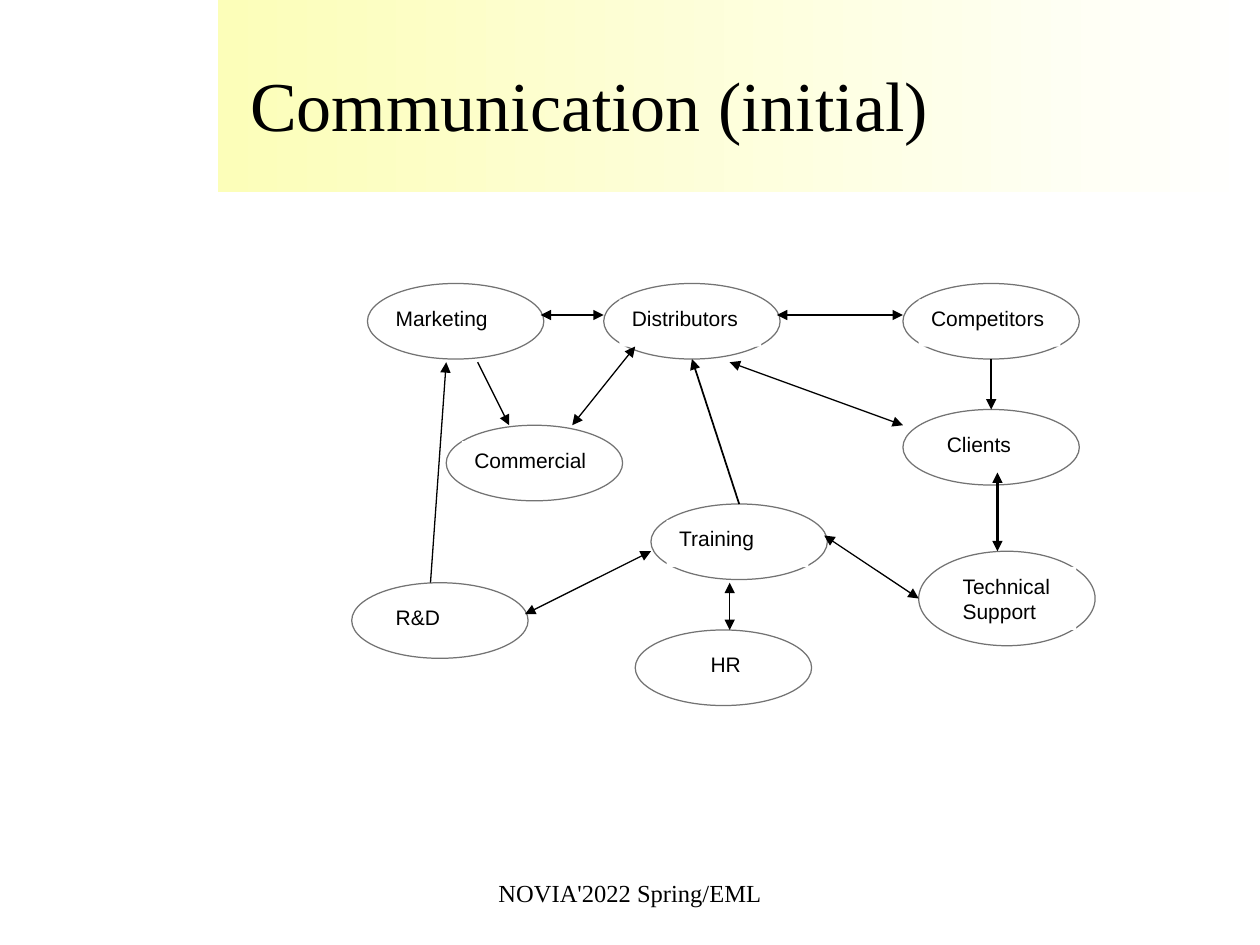
"""Build the initial communication diagram slide."""
from lxml import etree
from pptx import Presentation
from pptx import util as u
from pptx.dml import color
from pptx.enum import shapes, text
from pptx.oxml import ns


def rgb(value):
    return color.RGBColor.from_string(value)


def write(sp, words, font, size, anchor="TOP", align="LEFT", wrap=True, spacing=None):
    tf = sp.text_frame
    p = tf.paragraphs[0]
    p.text = words
    frame = {"word_wrap": wrap, "vertical_anchor": text.MSO_ANCHOR[anchor]}
    para = {"alignment": text.PP_ALIGN[align], "line_spacing": spacing}
    for target, values in ((tf, frame), (p, para)):
        for key, value in values.items():
            setattr(target, key, value)
    for key, value in {"name": font, "size": u.Pt(size)}.items():
        setattr(p.font, key, value)
    p.font.color.rgb = rgb("000000")


prs = Presentation()
prs.slide_width, prs.slide_height = u.Pt(720), u.Pt(540)
s = prs.slides.add_slide(prs.slide_layouts[6])

band = s.shapes.add_shape(shapes.MSO_SHAPE.RECTANGLE, u.Pt(124.5), u.Pt(0), u.Pt(595), u.Pt(109.5))
band.shadow.inherit = False
band.line.fill.background()
band.fill.gradient()
band.fill.gradient_angle = 0
for stop, shade in zip(band.fill.gradient_stops, ("FCFEB9", "FFFFFF")):
    stop.color.rgb = rgb(shade)

title = s.shapes.add_textbox(u.Pt(136), u.Pt(22.5), u.Pt(570), u.Pt(83.5))
write(title, "Communication (initial)", "Times New Roman", 40, "MIDDLE", spacing=0.75)
footer = s.shapes.add_textbox(u.Pt(246), u.Pt(492), u.Pt(228), u.Pt(36))
write(footer, "NOVIA'2022 Spring/EML", "Times New Roman", 14, "MIDDLE", "CENTER", False)

# name, left, top, height, label indent, label width, label height
nodes = [
    ("Technical\vSupport", 525, 315, 54, 18, 72, 36),
    ("Marketing", 210, 162, 43.2, 9, 81, 27),
    ("Clients", 516, 234, 43.2, 18, 72, 18),
    ("Distributors", 345, 162, 43.2, 9, 81, 27),
    ("R&D", 201, 333, 43.2, 18, 63, 27),
    ("Training", 372, 288, 43.2, 9, 81, 27),
    ("Commercial", 255, 243, 43.2, 9, 81, 18),
    ("HR", 363, 360, 43.2, 36, 45, 18),
    ("Competitors", 516, 162, 43.2, 9, 81, 27),
]
for name, x, y, height, indent, w, h in nodes:
    sp = s.shapes.add_shape(shapes.MSO_SHAPE.OVAL, u.Pt(x), u.Pt(y), u.Pt(100.8), u.Pt(height))
    sp.shadow.inherit = False
    sp.fill.solid()
    sp.fill.fore_color.rgb = rgb("FFFFFF")
    sp.line.color.rgb = rgb("737373")
    sp.line.width = u.Pt(0.7)
    label = s.shapes.add_textbox(u.Pt(x + indent), u.Pt(y + 9), u.Pt(w), u.Pt(h))
    if name != "Marketing":
        label.fill.solid()
        label.fill.fore_color.rgb = rgb("FFFFFF")
    write(label, name, "Arial", 12)

both, end = ("headEnd", "tailEnd"), ("tailEnd",)
links = [
    (444, 180, 516, 180, 0.75, both),
    (570, 270, 570, 315, 1.75, both),
    (417, 207, 516, 243, 0.75, both),
    (309, 180, 345, 180, 0.75, both),
    (363, 198, 327, 243, 0.75, both),
    (273, 207, 291, 243, 0.75, end),
    (246, 333, 255, 207, 0.75, end),
    (300, 351, 372, 315, 0.75, both),
    (471, 306, 525, 342, 0.75, both),
    (417, 333, 417, 360, 0.75, both),
    (566.4, 205.2, 566.4, 234, 1, end),
    (422.4, 288, 395.4, 205.2, 1, end),
]
for x1, y1, x2, y2, width, heads in links:
    link = s.shapes.add_connector(
        shapes.MSO_CONNECTOR.STRAIGHT, u.Pt(x1), u.Pt(y1), u.Pt(x2), u.Pt(y2))
    link.line.color.rgb = rgb("000000")
    link.line.width = u.Pt(width)
    for head in heads:
        etree.SubElement(link.line._get_or_add_ln(), ns.qn("a:" + head), type="triangle")
    etree.SubElement(link._element.spPr, ns.qn("a:effectLst"))

prs.save("out.pptx")
